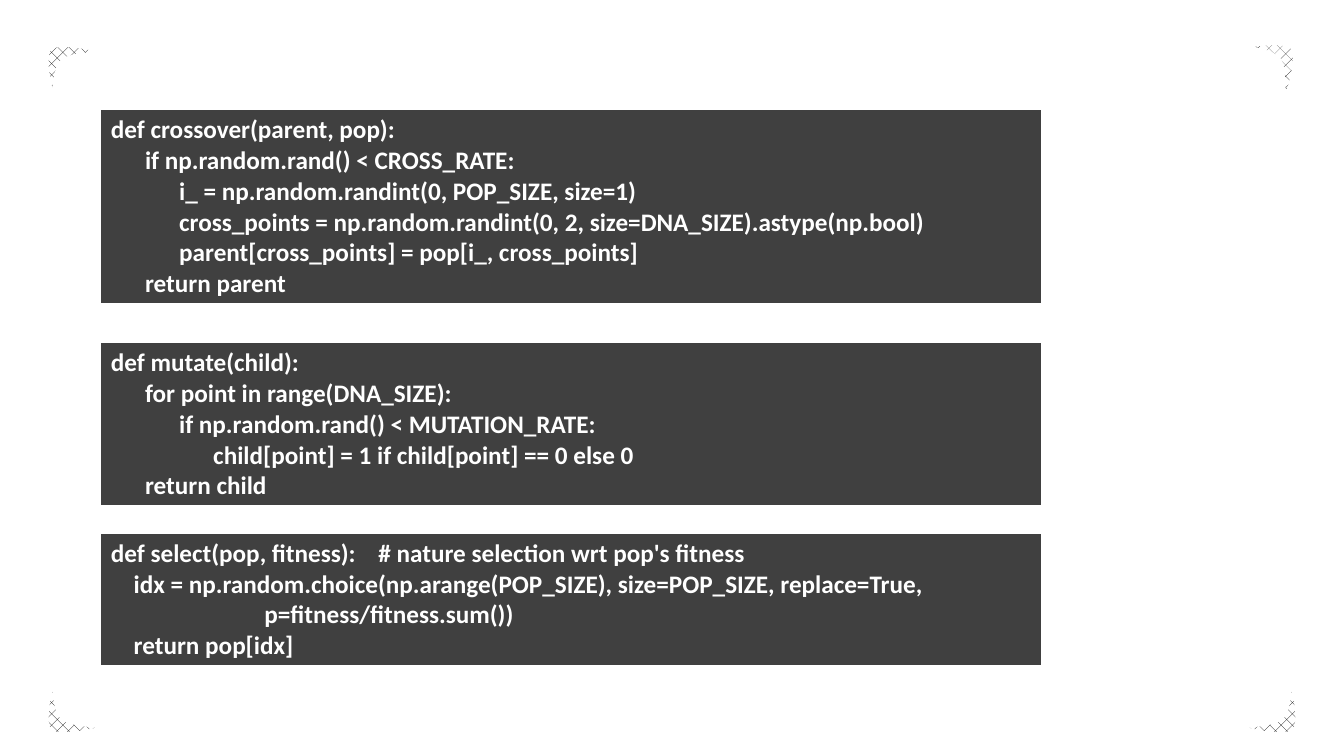
from dataclasses import dataclass

from lxml import etree
from pptx import Presentation
from pptx.dml.color import RGBColor
from pptx.enum.dml import MSO_PATTERN
from pptx.oxml.ns import qn
from pptx.util import Inches, Pt

PATTERN = MSO_PATTERN.PERCENT_25
BLANK_LAYOUT = 6
WHITE, BLACK, CODE_FILL = "FFFFFF", "000000", "404040"
CODE_LEFT, CODE_WIDTH, ROW_HEIGHT = 1, 9.33, 0.42
BORDERS = {"a:lnL": 1, "a:lnR": 1, "a:lnT": 1, "a:lnB": 3}

# Corner ornament, in inches from the top left of its box:
# a start point, then cubic Bézier segments.
CORNER_WIDTH, CORNER_HEIGHT = 0.53, 0.49
CORNER_START = (0.06, 0.49)
CORNER_CURVES = [
    ((0.04, 0.48), (-0.05, 0.11), (0.03, 0.03)),
    ((0.10, -0.04), (0.50, 0.04), (0.52, 0.06)),
    ((0.55, 0.08), (0.23, 0.08), (0.15, 0.15)),
    ((0.08, 0.22), (0.07, 0.36), (0.06, 0.49)),
]


@dataclass
class Corner:
    left: float
    top: float
    rotation: float = 0
    mirrored: bool = False


@dataclass
class CodeBlock:
    top: float
    code: str


CORNERS = [
    Corner(0.47, 0.45),
    Corner(12.33, 6.79, rotation=180),
    Corner(0.47, 6.79, rotation=180, mirrored=True),
    Corner(12.32, 0.45, rotation=94.8),
]

CODE_BLOCKS = [
    CodeBlock(1.09, """def crossover(parent, pop):
      if np.random.rand() < CROSS_RATE:
            i_ = np.random.randint(0, POP_SIZE, size=1)
            cross_points = np.random.randint(0, 2, size=DNA_SIZE).astype(np.bool)
            parent[cross_points] = pop[i_, cross_points]
      return parent"""),
    CodeBlock(3.4, """def mutate(child):
      for point in range(DNA_SIZE):
            if np.random.rand() < MUTATION_RATE:
                  child[point] = 1 if child[point] == 0 else 0
      return child"""),
    CodeBlock(5.29, """def select(pop, fitness):    # nature selection wrt pop's fitness
    idx = np.random.choice(np.arange(POP_SIZE), size=POP_SIZE, replace=True,
                           p=fitness/fitness.sum())
    return pop[idx]"""),
]


def color(value: str) -> RGBColor:
    return RGBColor.from_string(value)


def draw_curves(shape) -> None:
    """Replace the freeform's straight outline with the corner's curves."""
    outline = shape._element.find(".//" + qn("a:path"))
    for segment in list(outline):
        outline.remove(segment)
    segments = [("a:moveTo", [CORNER_START])]
    segments += [("a:cubicBezTo", curve) for curve in CORNER_CURVES]
    for tag, points in segments:
        segment = etree.SubElement(outline, qn(tag))
        for x, y in points:
            etree.SubElement(segment, qn("a:pt"), x=str(Inches(x)), y=str(Inches(y)))
    etree.SubElement(outline, qn("a:close"))


def add_corner(slide, corner: Corner) -> None:
    left, top = Inches(corner.left), Inches(corner.top)
    right, bottom = left + Inches(CORNER_WIDTH), top + Inches(CORNER_HEIGHT)
    builder = slide.shapes.build_freeform(left, top)
    builder.add_line_segments([(right, top), (right, bottom)])
    shape = builder.convert_to_shape()
    draw_curves(shape)
    shape.rotation = corner.rotation
    if corner.mirrored:
        shape._element.spPr.find(qn("a:xfrm")).set("flipH", "1")
    shape.shadow.inherit = False
    shape.fill.patterned()
    shape.fill.pattern = PATTERN
    shape.fill.fore_color.rgb = color(BLACK)
    shape.fill.back_color.rgb = color(WHITE)
    shape.line.color.rgb = color(WHITE)
    shape.line.width = Pt(2)


def set_borders(cell) -> None:
    properties = cell._tc.get_or_add_tcPr()
    for index, (tag, width) in enumerate(BORDERS.items()):
        line = etree.Element(qn(tag), w=str(Pt(width)))
        fill = etree.SubElement(line, qn("a:solidFill"))
        etree.SubElement(fill, qn("a:srgbClr"), val=WHITE)
        properties.insert(index, line)


def add_code_block(slide, block: CodeBlock) -> None:
    table = slide.shapes.add_table(
        1, 1, Inches(CODE_LEFT), Inches(block.top),
        Inches(CODE_WIDTH), Inches(ROW_HEIGHT),
    ).table
    table.first_row = False
    table.horz_banding = False
    cell = table.cell(0, 0)
    cell.fill.solid()
    cell.fill.fore_color.rgb = color(CODE_FILL)
    set_borders(cell)
    cell.text_frame.text = block.code
    for paragraph in cell.text_frame.paragraphs:
        font = paragraph.font
        font.name = "Calibri"
        font.size = Pt(18)
        font.bold = True
        font.color.rgb = color(WHITE)


def main() -> None:
    presentation = Presentation()
    presentation.slide_width = Inches(13.33)
    presentation.slide_height = Inches(7.5)
    slide = presentation.slides.add_slide(presentation.slide_layouts[BLANK_LAYOUT])
    for corner in CORNERS:
        add_corner(slide, corner)
    for block in CODE_BLOCKS:
        add_code_block(slide, block)
    presentation.save("out.pptx")


if __name__ == "__main__":
    main()
